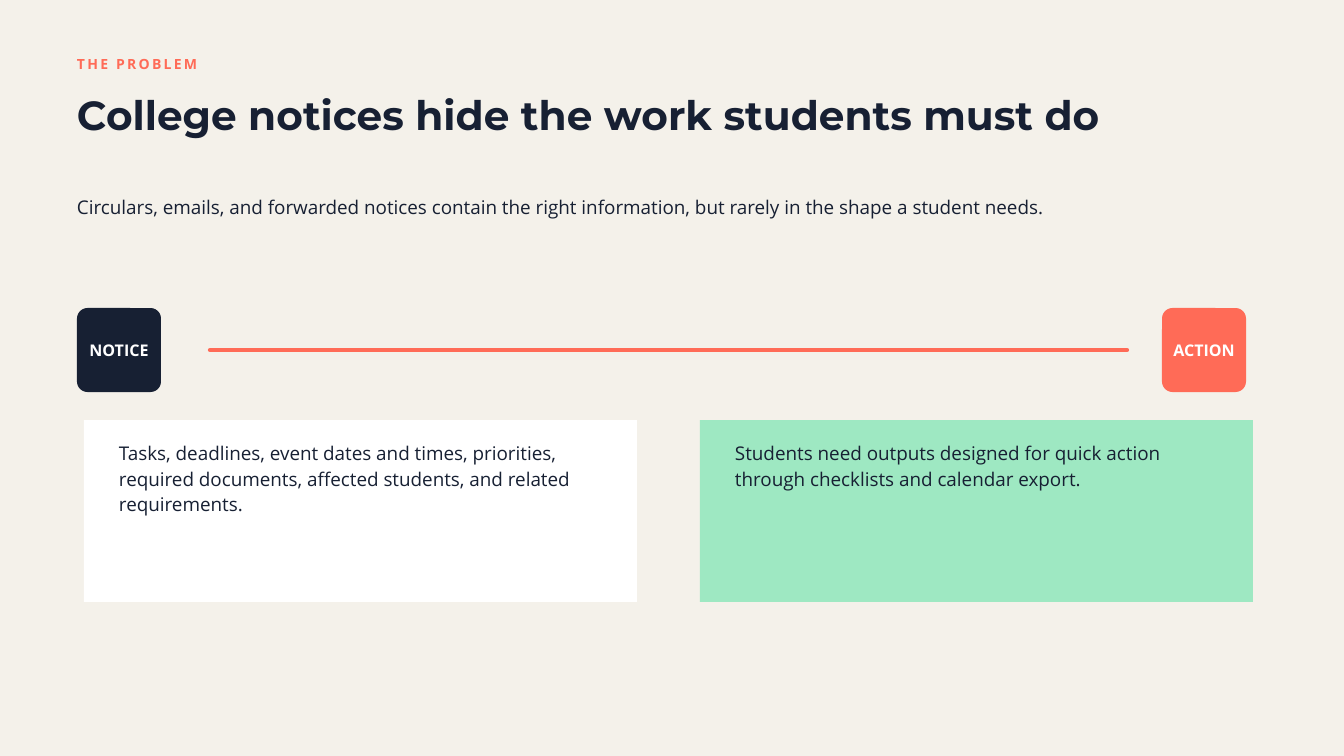
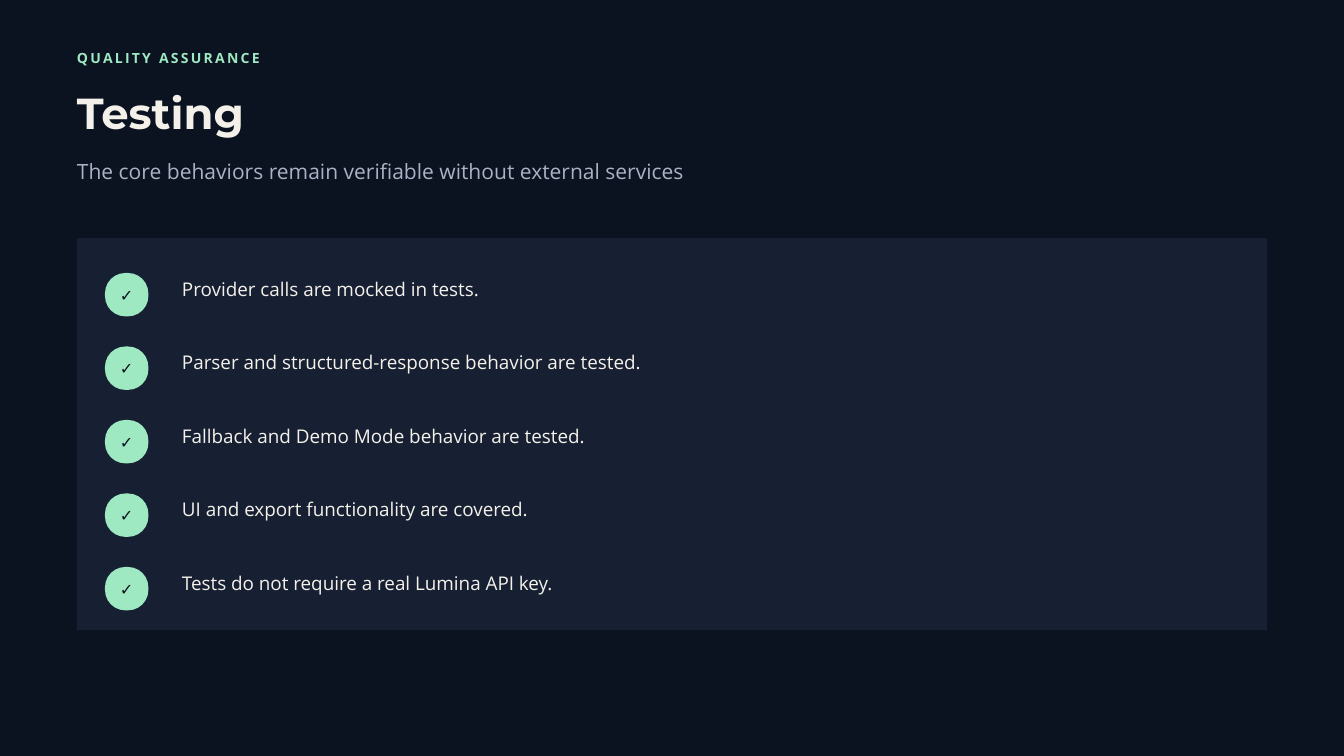
"""Build two slides: the problem with college notices, and the testing checklist."""
import pptx
import pptx.dml.color
import pptx.enum.shapes
import pptx.enum.text
import pptx.oxml.ns
import pptx.util
from lxml import etree

RGBColor = pptx.dml.color.RGBColor
SHAPE = pptx.enum.shapes.MSO_SHAPE
ALIGN = pptx.enum.text.PP_ALIGN
ANCHOR = pptx.enum.text.MSO_ANCHOR
Pt = pptx.util.Pt
qn = pptx.oxml.ns.qn

CREAM = RGBColor(0xF4, 0xF1, 0xEA)
NAVY = RGBColor(0x17, 0x20, 0x33)
MIDNIGHT = RGBColor(0x0B, 0x12, 0x20)
CORAL = RGBColor(0xFF, 0x6B, 0x57)
MINT = RGBColor(0x9E, 0xE8, 0xC2)
SLATE = RGBColor(0xAA, 0xB3, 0xC5)
WHITE = RGBColor(0xFF, 0xFF, 0xFF)

HEADING_FONT = "Montserrat"
TEXT_FONT = "Open Sans"
BODY_SIZE, BODY_LINE = 20.2, 27.3
MARGIN = 110
TITLE_AND_CONTENT, TITLE_ONLY = 1, 5


def px(count):
    return pptx.util.Emu(count * 9525)


class Deck:
    def __init__(self):
        self.presentation = pptx.Presentation()
        self.presentation.slide_width = px(1920)
        self.presentation.slide_height = px(1080)
        self.slide = None

    def start(self, layout, background):
        layouts = self.presentation.slide_layouts
        self.slide = self.presentation.slides.add_slide(layouts[layout])
        fill = self.slide.background.fill
        fill.solid()
        fill.fore_color.rgb = background

    def place(self, shape, left, top, width, height):
        shape.left, shape.top = px(left), px(top)
        shape.width, shape.height = px(width), px(height)

    def set_words(self, frame, words, size, line, color, bold=False, font=TEXT_FONT,
                  align=ALIGN.LEFT, anchor=ANCHOR.TOP, inset=0, gap=0, tracking=0):
        frame.text = words
        frame.word_wrap = True
        frame.auto_size = pptx.enum.text.MSO_AUTO_SIZE.NONE
        frame.vertical_anchor = anchor
        frame.margin_left = frame.margin_right = px(inset)
        frame.margin_top = frame.margin_bottom = px(inset)
        for index, paragraph in enumerate(frame.paragraphs):
            paragraph.alignment = align
            paragraph.line_spacing = Pt(line)
            paragraph.space_before = Pt(gap if index else 0)
            for run in paragraph.runs:
                run.font.name = font
                run.font.size = Pt(size)
                run.font.bold = bold
                run.font.color.rgb = color
                if tracking:
                    run._r.get_or_add_rPr().set("spc", str(tracking))

    def text(self, words, left, top, width, height, size=BODY_SIZE,
             line=BODY_LINE, color=NAVY, **style):
        box = self.slide.shapes.add_textbox(px(left), px(top), px(width), px(height))
        self.set_words(box.text_frame, words, size, line, color, **style)

    def kicker(self, words, top, color):
        self.text(words, MARGIN, top, 600, 27, 15, 21, color, bold=True, tracking=240)

    def title(self, words, top, height, size, line, color):
        heading = self.slide.shapes.title
        self.place(heading, MARGIN, top, 1540, height)
        self.set_words(heading.text_frame, words, size, line, color, True, HEADING_FONT)

    def checklist(self, items, left, top, width, pitch, color):
        listing = self.slide.placeholders[1]
        listing.element.getparent().append(listing.element)
        self.place(listing, left, top, width, pitch * len(items))
        self.set_words(listing.text_frame, "\n".join(items), BODY_SIZE, BODY_LINE, color,
                       gap=pitch * 0.75 - BODY_LINE)
        for paragraph in listing.text_frame.paragraphs:
            properties = paragraph._p.get_or_add_pPr()
            properties.set("marL", "0")
            properties.set("indent", "0")
            etree.SubElement(properties, qn("a:buNone"))

    def panel(self, left, top, width, height, color, kind=SHAPE.RECTANGLE):
        panel = self.slide.shapes.add_shape(kind, px(left), px(top), px(width), px(height))
        panel.shadow.inherit = False
        panel.fill.solid()
        panel.fill.fore_color.rgb = color
        panel.line.fill.background()
        return panel

    def badge(self, words, left, top, side, radius, color, ink):
        badge = self.panel(left, top, side, side, color, SHAPE.ROUNDED_RECTANGLE)
        badge.adjustments[0] = radius / side
        self.set_words(badge.text_frame, words, 17.2, 19.8, ink, bold=True,
                       align=ALIGN.CENTER, anchor=ANCHOR.MIDDLE, inset=6)
        badge.text_frame.margin_top = px(8)

    def rule(self, left, right, y, color, weight):
        rule = self.slide.shapes.add_connector(
            pptx.enum.shapes.MSO_CONNECTOR.STRAIGHT, px(left), px(y), px(right), px(y))
        rule.line.color.rgb = color
        rule.line.width = Pt(weight)
        properties = rule.element.spPr
        properties.find(qn("a:ln")).set("cap", "rnd")
        etree.SubElement(properties, qn("a:effectLst"))


def problem_slide(deck):
    deck.start(TITLE_ONLY, CREAM)
    deck.kicker("THE PROBLEM", 75, CORAL)
    deck.title("College notices hide the work students must do", 136, 63, 43.5, 47, NAVY)
    deck.text("Circulars, emails, and forwarded notices contain the right information, "
              "but rarely in the shape a student needs.", MARGIN, 276, 1430, 35)
    deck.rule(300, 1610, 500, CORAL, 4.5)
    for stage, left, color in (("NOTICE", MARGIN, NAVY), ("ACTION", 1660, CORAL)):
        deck.badge(stage, left, 440, 120, 15, color, WHITE)
    cards = (
        (120, WHITE, 690, "Tasks, deadlines, event dates and times, priorities, required "
                          "documents, affected students, and related requirements."),
        (1000, MINT, 670, "Students need outputs designed for quick action through "
                          "checklists and calendar export."),
    )
    for left, color, width, message in cards:
        deck.panel(left, 600, 790, 260, color)
        deck.text(message, left + 50, 627, width, 107)


def testing_slide(deck):
    deck.start(TITLE_AND_CONTENT, MIDNIGHT)
    deck.kicker("QUALITY ASSURANCE", 67, MINT)
    deck.title("Testing", 131, 67, 46.5, 50.2, CREAM)
    deck.text("The core behaviors remain verifiable without external services",
              MARGIN, 221, 1400, 40, 22.5, 31.5, SLATE)
    checks = (
        "Provider calls are mocked in tests.",
        "Parser and structured-response behavior are tested.",
        "Fallback and Demo Mode behavior are tested.",
        "UI and export functionality are covered.",
        "Tests do not require a real Lumina API key.",
    )
    pitch = 105
    deck.panel(MARGIN, 340, 1700, 560, NAVY)
    for row in range(len(checks)):
        deck.badge("✓", 150, 390 + row * pitch, 62, 29, MINT, MIDNIGHT)
    deck.checklist(checks, 260, 392, 1400, pitch, CREAM)


def main():
    deck = Deck()
    problem_slide(deck)
    testing_slide(deck)
    deck.presentation.save("out.pptx")


if __name__ == "__main__":
    main()
